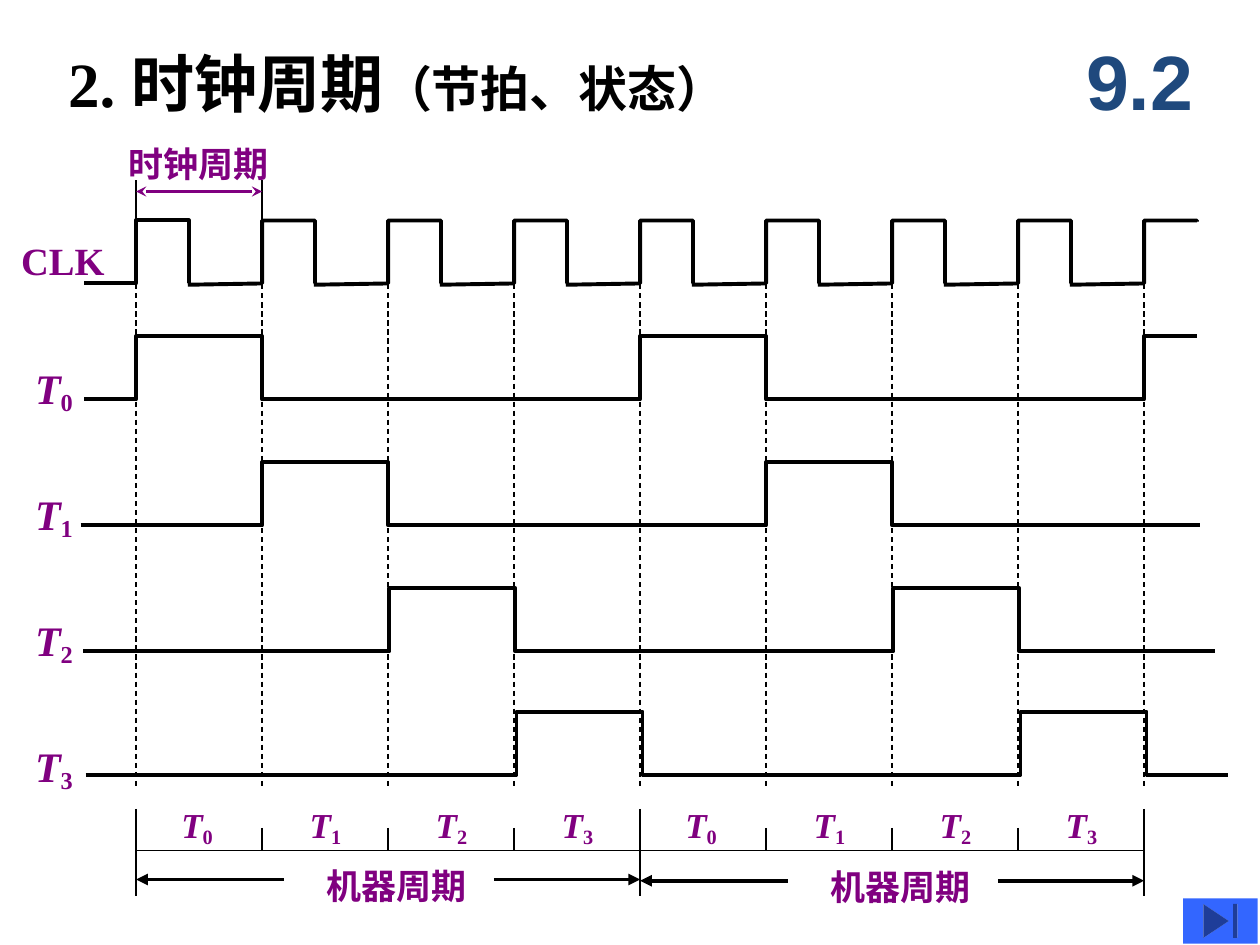
"""Draw a timing chart of clock periods and machine cycles."""
from typing import NamedTuple, Optional

from lxml import etree
from pptx import Presentation
from pptx.dml.color import RGBColor
from pptx.enum.dml import MSO_LINE
from pptx.enum.shapes import MSO_CONNECTOR, MSO_SHAPE
from pptx.enum.text import MSO_ANCHOR, MSO_AUTO_SIZE, PP_ALIGN
from pptx.oxml.ns import qn
from pptx.util import Inches, Pt

BLACK = RGBColor(0x00, 0x00, 0x00)
PURPLE = RGBColor(0x80, 0x00, 0x80)
NAVY = RGBColor(0x1F, 0x49, 0x7D)
BLUE = RGBColor(0x33, 0x66, 0xFF)
SERIF, SANS = "Times New Roman", "Arial"
DASH = MSO_LINE.DASH
STRAIGHT = MSO_CONNECTOR.STRAIGHT
BUTTON = MSO_SHAPE.ACTION_BUTTON_END
TOP, MIDDLE = MSO_ANCHOR.TOP, MSO_ANCHOR.MIDDLE
LEFT, CENTER = PP_ALIGN.LEFT, PP_ALIGN.CENTER
GROW, FIXED = MSO_AUTO_SIZE.SHAPE_TO_FIT_TEXT, MSO_AUTO_SIZE.NONE
START = 1.08
STEPS = 8
PHASES = 4


class Wave(NamedTuple):
    """One phase signal: its ends, levels and first rise."""
    left: float
    right: float
    low: float
    high: float
    rise: float


class Label(NamedTuple):
    """A text with an optional subscript."""
    text: str
    left: float
    top: float
    width: float
    height: float
    size: float
    sub: str = ""


WAVES = [
    Wave(0.67, 9.5, 3.17, 2.67, 1.08),
    Wave(0.64, 9.52, 4.17, 3.67, 2.08),
    Wave(0.66, 9.64, 5.17, 4.67, 3.09),
    Wave(0.68, 9.75, 6.15, 5.65, 4.1),
]


def trace(shapes, points: list) -> None:
    """Draw an open path through points given in inches."""
    spots = [(Inches(x), Inches(y)) for x, y in points]
    pen = shapes.build_freeform(*spots[0], scale=1.0)
    pen.add_line_segments(spots[1:], close=False)
    path = pen.convert_to_shape()
    path.shadow.inherit = False
    path.fill.background()
    path.line.color.rgb = BLACK
    path.line.width = Pt(2.25)


def draw_wave(shapes, wave: Wave) -> None:
    """Draw a signal that is high for one step in each cycle."""
    points = [(wave.left, wave.low)]
    level, other = wave.low, wave.high
    for cycle in range(3):
        for edge in (0, 1):
            x = wave.rise + cycle * PHASES + edge
            if x < wave.right:
                points += [(x, level), (x, other)]
                level, other = other, level
    trace(shapes, points + [(wave.right, level)])


def draw_clock(shapes) -> None:
    """Draw one pulse of the clock for each step."""
    for step in range(STEPS + 1):
        rise, fall = START + step, 1.5 + step
        first = (0.49 + step, 2.26) if step else (0.67, 2.25)
        end = 2.25 if step < STEPS else 1.76
        trace(shapes, [first, (rise, 2.25), (rise, 1.75), (fall, 1.75), (fall, end)])


def rule(shapes, x1: float, y1: float, x2: float, y2: float, width: float = 0.75,
         color: RGBColor = BLACK, head: Optional[str] = None,
         tail: Optional[str] = None):
    """Draw a straight line with optional arrowheads."""
    line = shapes.add_connector(STRAIGHT, Inches(x1), Inches(y1), Inches(x2), Inches(y2))
    line.line.color.rgb = color
    line.line.width = Pt(width)
    props = line.line._get_or_add_ln()
    for tag, kind in (("a:headEnd", head), ("a:tailEnd", tail)):
        if kind:
            etree.SubElement(props, qn(tag), type=kind)
    etree.SubElement(line._element.spPr, qn("a:effectLst"))
    return line


def style(para, color: RGBColor, name: str = SERIF) -> None:
    """Set the shared font of a paragraph."""
    para.font.name = name
    para.font.bold = True
    para.font.color.rgb = color


def add_label(shapes, label: Label) -> None:
    """Add a purple label, with an italic letter before a subscript."""
    box = shapes.add_textbox(Inches(label.left), Inches(label.top),
                             Inches(label.width), Inches(label.height))
    frame = box.text_frame
    frame.word_wrap = False
    frame.auto_size = GROW
    para = frame.paragraphs[0]
    style(para, PURPLE)
    para.font.size = Pt(label.size)
    run = para.add_run()
    run.text = label.text
    if label.sub:
        run.font.italic = True
        low = para.add_run()
        low.text = label.sub
        low._r.get_or_add_rPr().set("baseline", "-15000")


def add_title(slide) -> None:
    """Fill the title and add the section number."""
    title = slide.shapes.title
    title.left, title.top = Inches(0.44), Inches(0.3)
    title.width, title.height = Inches(5.65), Inches(0.7)
    frame = title.text_frame
    frame.word_wrap = False
    frame.auto_size = GROW
    frame.vertical_anchor = TOP
    para = frame.paragraphs[0]
    para.alignment = LEFT
    style(para, BLACK)
    for text, size in (("2. 时钟周期", 36), ("（节拍、状态）", 28)):
        run = para.add_run()
        run.text = text
        run.font.size = Pt(size)

    mark = slide.shapes.add_textbox(Inches(8.42), Inches(0.17), Inches(1.25), Inches(0.92))
    frame = mark.text_frame
    frame.word_wrap = True
    frame.auto_size = FIXED
    frame.vertical_anchor = MIDDLE
    para = frame.paragraphs[0]
    para.text = "9.2"
    para.alignment = CENTER
    style(para, NAVY, SANS)
    para.font.size = Pt(44)


def draw_axis(shapes) -> None:
    """Draw the ruler of steps and machine cycles."""
    rule(shapes, START, 6.75, START + STEPS, 6.75)
    for step in range(STEPS + 1):
        x = START + step
        top, end = (6.57, 6.75) if step % PHASES else (6.42, 7.11)
        rule(shapes, x, top, x, end)
    for step in range(STEPS):
        phase = step % PHASES
        left = step + (1.36 if phase else 1.34)
        add_label(shapes, Label("T", left, 6.33, 0.45, 0.45, 20, str(phase)))
    for cycle in range(2):
        x, y = START + cycle * PHASES, 6.98 + cycle * 0.01
        rule(shapes, x + 2.84, y, x + PHASES, y, 2.25, tail="triangle")
        rule(shapes, x + 1.17, y, x, y, 2.25, tail="triangle")
        add_label(shapes, Label("机器周期", x + 1.41, y - 0.17, 1.31, 0.44, 20))


def main() -> None:
    """Build and save the slide."""
    deck = Presentation()
    deck.slide_width, deck.slide_height = Inches(10), Inches(7.5)
    slide = deck.slides.add_slide(deck.slide_layouts[5])
    shapes = slide.shapes
    add_title(slide)
    for phase, wave in enumerate(WAVES):
        draw_wave(shapes, wave)
        add_label(shapes, Label("T", 0.18, 2.83 + phase, 0.5, 0.52, 24, str(phase)))
    draw_clock(shapes)
    add_label(shapes, Label("CLK", 0.07, 1.83, 0.86, 0.47, 22))
    for step in range(STEPS + 1):
        x = START + step
        rule(shapes, x, 1.97, x, 6.25).line.dash_style = DASH
    for x in (START, START + 1):
        rule(shapes, x, 1.43, x, 1.77, 1.5)
    rule(shapes, START, 1.52, START + 1, 1.52, 1.5, PURPLE, "stealth", "stealth")
    add_label(shapes, Label("时钟周期", 0.92, 1.08, 1.31, 0.44, 20))
    draw_axis(shapes)
    button = shapes.add_shape(BUTTON, Inches(9.39), Inches(7.13), Inches(0.59), Inches(0.36))
    button.shadow.inherit = False
    button.fill.solid()
    button.fill.fore_color.rgb = BLUE
    button.line.fill.background()
    deck.save("out.pptx")


if __name__ == "__main__":
    main()
